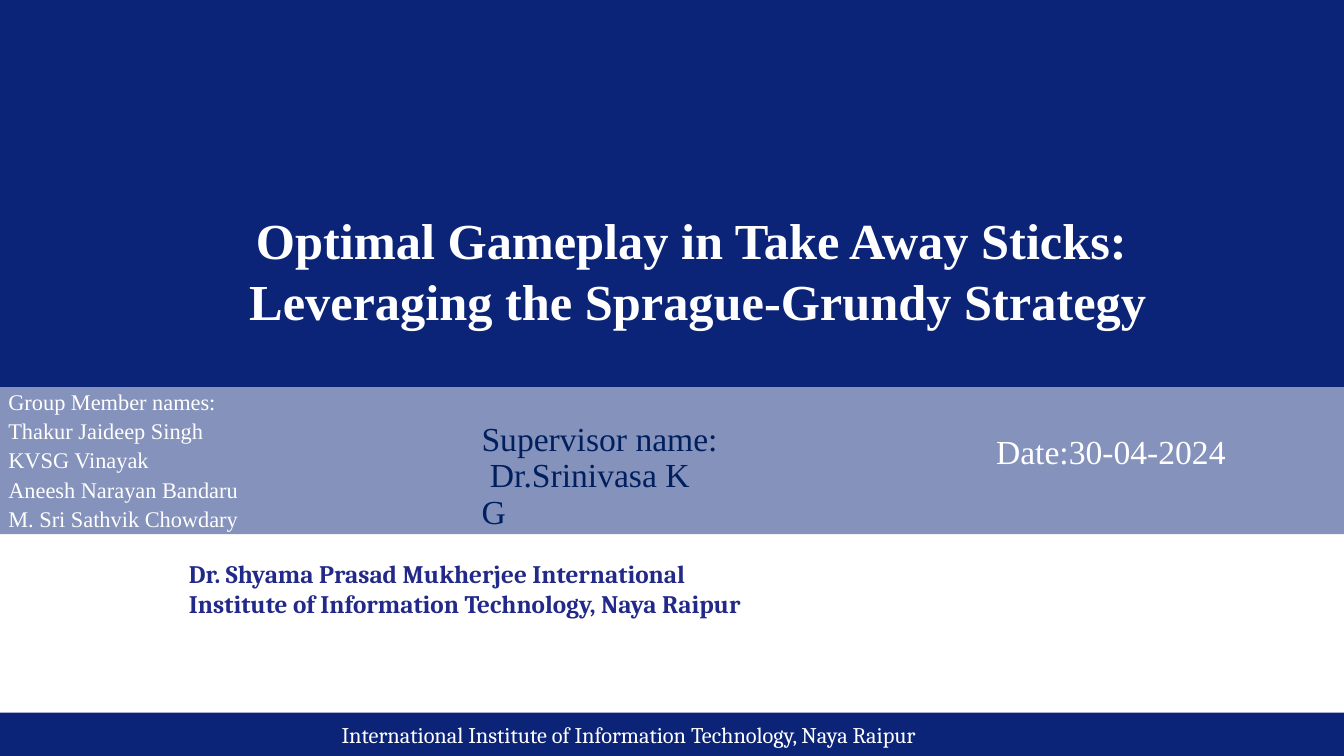
from pptx import Presentation
from pptx.dml.color import RGBColor
from pptx.enum.shapes import MSO_SHAPE
from pptx.enum.text import PP_ALIGN
from pptx.util import Pt

RECTANGLE = MSO_SHAPE.RECTANGLE
LEFT, CENTER = PP_ALIGN.LEFT, PP_ALIGN.CENTER

WIDTH, HEIGHT = 960, 540
COLORS = {
    "navy": "0C2477",
    "slate": "8592BB",
    "indigo": "222989",
    "ink": "001F5F",
    "white": "FFFFFF",
}
SERIF, HEADING = "Times New Roman", "Cambria"
MEMBERS = [
    "Group Member names:",
    "Thakur Jaideep Singh",
    "KVSG Vinayak",
    "Aneesh Narayan Bandaru",
    "M. Sri Sathvik Chowdary",
]


class SlideBuilder:
    def __init__(self, slide):
        self.slide = slide

    def color(self, name):
        return RGBColor.from_string(COLORS[name])

    def band(self, top, height, color):
        shape = self.slide.shapes.add_shape(RECTANGLE, 0, Pt(top), Pt(WIDTH), Pt(height))
        shape.shadow.inherit = False
        shape.fill.solid()
        shape.fill.fore_color.rgb = self.color(color)
        shape.line.fill.background()

    def text(self, content, left, top, width, height, *, size, color="white",
             font=SERIF, bold=False, align=LEFT, spacing=None):
        shape = self.slide.shapes.add_textbox(Pt(left), Pt(top), Pt(width), Pt(height))
        frame = shape.text_frame
        frame.word_wrap = True
        frame.margin_left = Pt(1)
        frame.margin_top = frame.margin_right = frame.margin_bottom = 0
        frame.text = content
        for paragraph in frame.paragraphs:
            paragraph.alignment = align
            if spacing:
                paragraph.line_spacing = Pt(spacing)
            for run in paragraph.runs:
                run.font.name = font
                run.font.size = Pt(size)
                run.font.bold = bold
                run.font.color.rgb = self.color(color)


def main():
    presentation = Presentation()
    presentation.slide_width, presentation.slide_height = Pt(WIDTH), Pt(HEIGHT)
    builder = SlideBuilder(presentation.slides.add_slide(presentation.slide_layouts[6]))

    builder.band(509, 31, "navy")
    builder.band(0, 276.5, "navy")
    builder.band(276.5, 105, "slate")

    builder.text("Dr. Shyama Prasad Mukherjee International Institute of "
                 "Information Technology, Naya Raipur",
                 134, 398.5, 415, 67, size=18, color="indigo", font=HEADING, bold=True)
    builder.text("Optimal Gameplay in Take Away Sticks: \v"
                 "Leveraging the Sprague-Grundy Strategy",
                 0, 149.5, 996, 88, size=36, bold=True, align=CENTER, spacing=43.2)
    builder.text("Supervisor name:\v Dr.Srinivasa K\vG",
                 343, 301.5, 171, 78, size=24, color="ink", spacing=25.9)
    builder.text("Date:30-04-2024", 710.5, 308, 170, 30, size=24)
    builder.text("International Institute of Information Technology, Naya Raipur",
                 243, 515, 454, 21, size=16, font=HEADING)
    builder.text("\n".join(MEMBERS), 5, 275.5, 240, 105, size=16, spacing=20.9)

    presentation.save("out.pptx")


if __name__ == "__main__":
    main()
